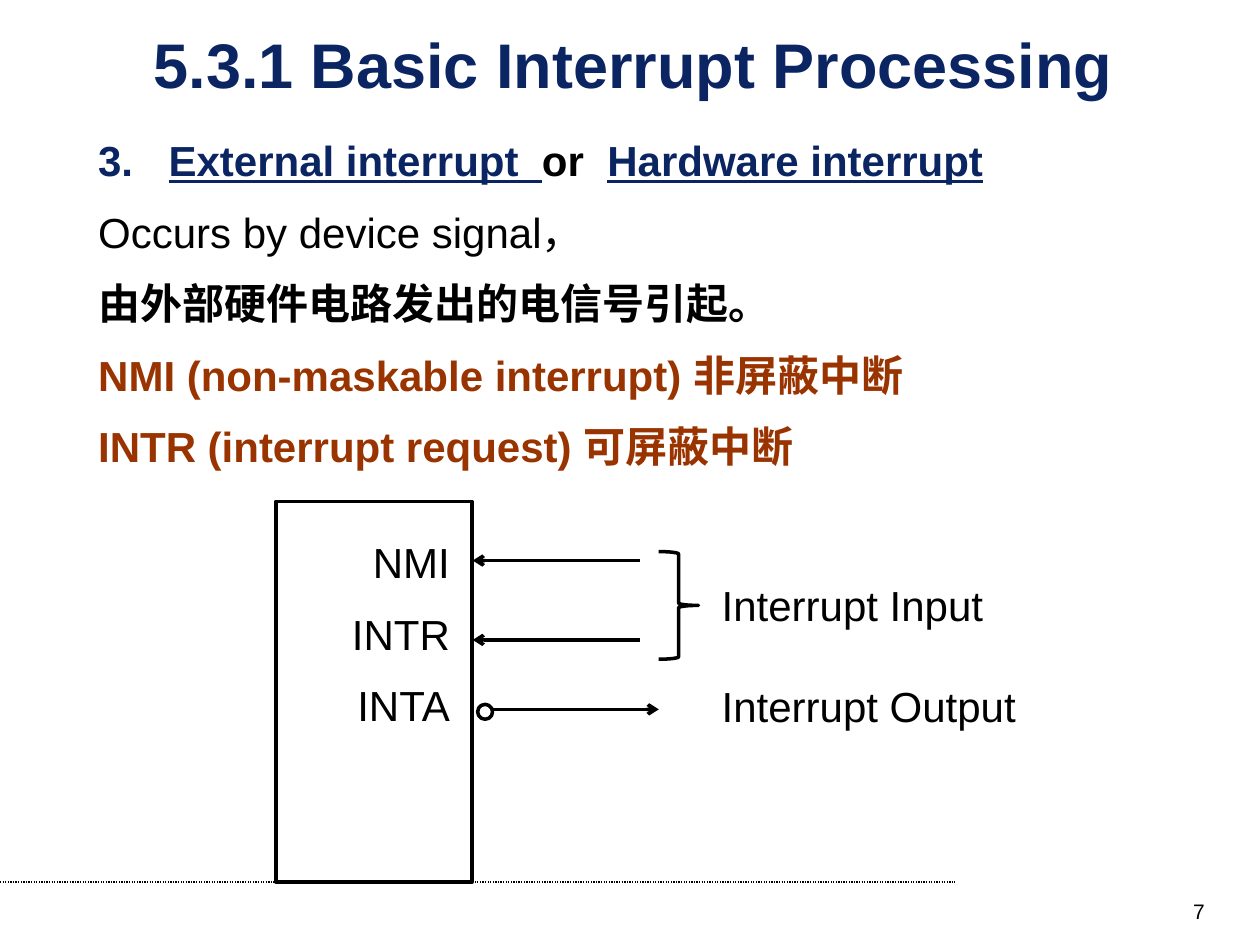
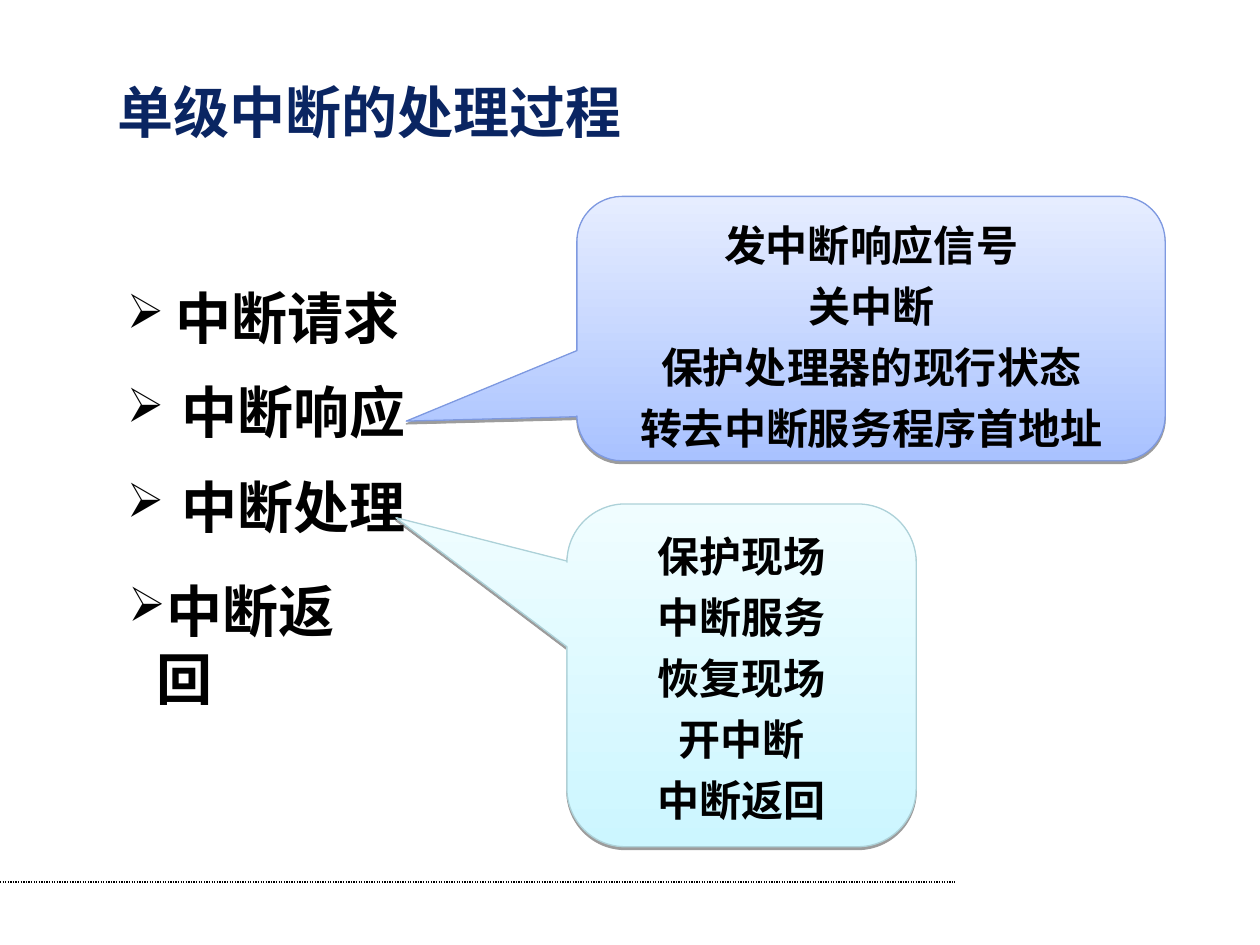
from dataclasses import dataclass
from typing import NamedTuple

from lxml.etree import SubElement
from pptx import Presentation
from pptx.dml.color import RGBColor
from pptx.enum.dml import MSO_LINE
from pptx.enum.shapes import MSO_CONNECTOR, MSO_SHAPE as Preset
from pptx.enum.text import MSO_ANCHOR as Anchor, MSO_AUTO_SIZE, PP_ALIGN as Align
from pptx.oxml.ns import qn
from pptx.util import Cm, Pt

NAVY, BLACK, RUST = "0A2562", "000000", "993300"
LATIN_FONT, CHINESE_FONT = "Arial", "Noto Sans CJK SC"
LINE_HEIGHT = 1.2
CHINESE_TOP_INSET = 0.2


class Box(NamedTuple):
    left: float
    top: float
    width: float
    height: float

    def lengths(self) -> list:
        return [Cm(value) for value in self]


class Span(NamedTuple):
    text: str
    color: str = BLACK
    bold: bool = False
    underline: bool = False


class Arrow(NamedTuple):
    start: float
    end: float
    y: float


@dataclass
class Step:
    text: str
    box: Box
    indent: float


@dataclass
class Callout:
    box: Box
    lines: list
    pointer: tuple
    bottom_color: str
    top_color: str
    border: str


ARROWS = [Arrow(12.9, 9.53, 11.3), Arrow(12.9, 9.53, 12.9), Arrow(9.93, 13.28, 14.3)]

STEPS = [
    Step("中断请求", Box(2.31, 5.51, 8.03, 1.9), 0.97),
    Step("中断响应", Box(2.31, 7.42, 8.61, 1.63), 1.09),
    Step("中断处理", Box(2.31, 9.32, 8.03, 1.63), 1.09),
    Step("中断返回", Box(2.34, 11.43, 5.3, 1.63), 0.56),
]

CALLOUTS = [
    Callout(Box(11.43, 10.16, 7.04, 6.91),
            ["保护现场", "中断服务", "恢复现场", "开中断", "中断返回"],
            (-0.99, -0.46), "CCF6FF", "F0FDFF", "ADD1D8"),
    Callout(Box(11.63, 3.96, 11.86, 5.33),
            ["发中断响应信号", "关中断", "保护处理器的现行状态", "转去中断服务程序首地址"],
            (-0.79, 0.35), "A9C2FF", "E6EDFF", "7E99E0"),
]


def rgb(color: str) -> RGBColor:
    return RGBColor.from_string(color)


def add_child(parent, tag: str, **attributes):
    return SubElement(parent, qn(tag), {name: str(value) for name, value in attributes.items()})


def write(shape, paragraphs: list, *, size: float = 24, align=Align.LEFT, gap: float = 0,
          anchor=Anchor.TOP, top_inset: float = 0.13, latin: str = LATIN_FONT) -> None:
    frame = shape.text_frame
    frame.word_wrap = True
    frame.auto_size = MSO_AUTO_SIZE.NONE
    frame.vertical_anchor = anchor
    frame.margin_left = frame.margin_right = Cm(0.25)
    frame.margin_top, frame.margin_bottom = Cm(top_inset), Cm(0.13)
    for index, spans in enumerate(paragraphs):
        paragraph = frame.paragraphs[0] if index == 0 else frame.add_paragraph()
        paragraph.alignment = align
        paragraph.line_spacing = Pt(size * LINE_HEIGHT)
        paragraph.space_before = Pt(gap if index else 0)
        for span in spans:
            run = paragraph.add_run()
            run.text = span.text
            font = run.font
            font.name, font.size = latin, Pt(size)
            font.bold, font.underline = span.bold, span.underline
            font.color.rgb = rgb(span.color)
            add_child(font._element, "a:ea", typeface=CHINESE_FONT)


def add_text(slide, box: Box, paragraphs: list, **text_format):
    shape = slide.shapes.add_textbox(*box.lengths())
    write(shape, paragraphs, **text_format)
    return shape


def add_line(slide, start: tuple, end: tuple, *, width: float, dash=None, arrow: bool = False) -> None:
    connector = slide.shapes.add_connector(
        MSO_CONNECTOR.STRAIGHT, *[Cm(value) for value in (*start, *end)])
    connector.line.color.rgb = rgb(BLACK)
    connector.line.width = Pt(width)
    if dash:
        connector.line.dash_style = dash
    if arrow:
        add_child(connector.line._get_or_add_ln(), "a:tailEnd", type="arrow")
    add_child(connector._element.spPr, "a:effectLst")


def add_outline(slide, preset, box: Box):
    shape = slide.shapes.add_shape(preset, *box.lengths())
    shape.shadow.inherit = False
    shape.fill.background()
    shape.line.color.rgb = rgb(BLACK)
    shape.line.width = Pt(2)
    return shape


def add_titled_slide(presentation, title: str, box: Box, **text_format):
    slide = presentation.slides.add_slide(presentation.slide_layouts[5])
    add_line(slide, (0, 17.78), (19.25, 17.78), width=0.75, dash=MSO_LINE.ROUND_DOT)
    shape = slide.shapes.title
    shape.left, shape.top, shape.width, shape.height = box.lengths()
    write(shape, [[Span(title, NAVY, True)]], **text_format)
    return slide


def add_step(slide, step: Step) -> None:
    shape = add_text(slide, step.box, [[Span(step.text, bold=True)]],
                     size=32, top_inset=CHINESE_TOP_INSET)
    properties = shape.text_frame.paragraphs[0]._p.get_or_add_pPr()
    properties.set("marL", str(Cm(step.indent)))
    properties.set("indent", str(-Cm(step.indent)))
    add_child(add_child(properties, "a:buClr"), "a:srgbClr", val=BLACK)
    add_child(properties, "a:buSzPct", val=85000)
    add_child(properties, "a:buChar", char="➢")


def add_callout(slide, callout: Callout) -> None:
    shape = slide.shapes.add_shape(Preset.ROUNDED_RECTANGULAR_CALLOUT, *callout.box.lengths())
    for index, value in enumerate((*callout.pointer, 0.17)):
        shape.adjustments[index] = value
    shape.fill.gradient()
    shape.fill.gradient_angle = 90
    for stop, color in zip(shape.fill.gradient_stops, (callout.bottom_color, callout.top_color)):
        stop.color.rgb = rgb(color)
    shape.line.color.rgb = rgb(callout.border)
    shape.line.width = Pt(0.75)
    shape.shadow.inherit = False
    effects = shape._element.spPr.find(qn("a:effectLst"))
    shadow = add_child(effects, "a:outerShdw", blurRad=0, dist=Pt(1.6), dir=5400000, rotWithShape=0)
    add_child(add_child(shadow, "a:srgbClr", val=BLACK), "a:alpha", val=38000)
    write(shape, [[Span(line, bold=True)] for line in callout.lines],
          align=Align.CENTER, gap=6, top_inset=CHINESE_TOP_INSET)


def build_interrupt_slide(presentation) -> None:
    slide = add_titled_slide(presentation, "5.3.1 Basic Interrupt Processing",
                             Box(1.27, 0.64, 22.99, 1.27),
                             size=36, align=Align.CENTER, anchor=Anchor.MIDDLE)
    add_text(slide, Box(18.62, 17.98, 5.92, 0.69), [[Span("7")]], size=12, align=Align.RIGHT)
    explanation = add_text(slide, Box(1.73, 2.59, 22.83, 7.04), [
        [Span("3.\t", NAVY, True), Span("External interrupt  ", NAVY, True, True),
         Span("or  ", bold=True), Span("Hardware interrupt", NAVY, True, True)],
        [Span("Occurs by device signal，")],
        [Span("由外部硬件电路发出的电信号引起。", bold=True)],
        [Span("NMI (non-maskable interrupt) 非屏蔽中断", RUST, True)],
        [Span("INTR (interrupt request) 可屏蔽中断", RUST, True)],
    ], align=Align.JUSTIFY, gap=12)
    heading = explanation.text_frame.paragraphs[0]._p.get_or_add_pPr()
    add_child(add_child(heading, "a:tabLst"), "a:tab", pos=Cm(1.42), algn="l")

    add_outline(slide, Preset.RECTANGLE, Box(5.56, 10.11, 3.96, 7.67))
    for arrow in ARROWS:
        add_line(slide, (arrow.start, arrow.y), (arrow.end, arrow.y), width=2, arrow=True)
    add_text(slide, Box(6.55, 10.69, 2.77, 4.17),
             [[Span(pin)] for pin in ("NMI", "INTR", "INTA")], align=Align.RIGHT, gap=12)
    add_outline(slide, Preset.OVAL, Box(9.63, 14.2, 0.3, 0.3))
    brace = add_outline(slide, Preset.RIGHT_BRACE, Box(13.28, 11.12, 0.8, 2.17))
    brace.adjustments[0] = 0.06
    add_text(slide, Box(14.3, 11.56, 6.93, 3.3),
             [[Span("Interrupt Input")], [Span("Interrupt Output")]], gap=28.8)


def build_process_slide(presentation) -> None:
    slide = add_titled_slide(presentation, "单级中断的处理过程", Box(2.11, 1.37, 17.15, 1.63),
                             size=32, latin=CHINESE_FONT, top_inset=CHINESE_TOP_INSET)
    for step in STEPS:
        add_step(slide, step)
    for callout in CALLOUTS:
        add_callout(slide, callout)


def main() -> None:
    presentation = Presentation()
    presentation.slide_width, presentation.slide_height = Cm(25.4), Cm(19.05)
    build_interrupt_slide(presentation)
    build_process_slide(presentation)
    presentation.save("out.pptx")


if __name__ == "__main__":
    main()
